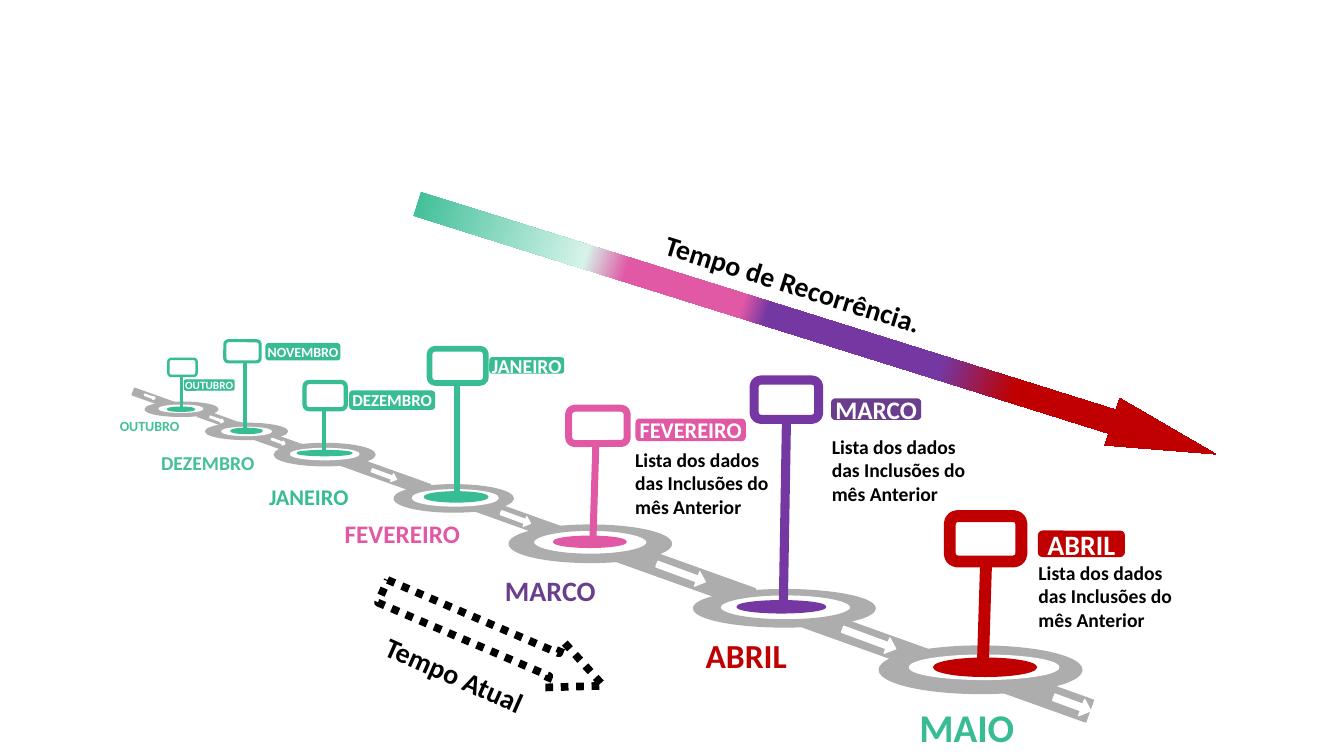
"""Build a recurrence-time roadmap slide with month stations along a road."""
from lxml import etree
from pptx import Presentation
from pptx.dml.color import RGBColor
from pptx.enum.dml import MSO_LINE
from pptx.enum.shapes import MSO_CONNECTOR, MSO_SHAPE
from pptx.enum.text import MSO_ANCHOR, MSO_AUTO_SIZE, PP_ALIGN
from pptx.oxml.ns import qn
from pptx.util import Cm, Pt

RECT, OVAL = MSO_SHAPE.RECTANGLE, MSO_SHAPE.OVAL
ROUNDED, ARROW = MSO_SHAPE.ROUNDED_RECTANGLE, MSO_SHAPE.RIGHT_ARROW
FONT = "Calibri"
CM_PER_INCH = 2.54
ROAD_ANGLE, ROAD_ARROW_ANGLE = 19.7, 20.2
ROAD_ARROW_ADJ = (0.39, 0.564)
COLORS = {
    "road": "ADADAD", "white": "FFFFFF", "black": "000000", "green": "38BC94",
    "mint": "43C09A", "pale": "D6F3EA", "pink": "E158A5", "purple": "7538A3",
    "plum": "6A3E8D", "red": "C00000",
}

ROADS = [
    ((1.31, 3.92, 0.42, 0.07), (1.43, 3.92, 0.11, 0.03)),
    ((1.95, 4.17, 0.69, 0.08), (2.08, 4.14, 0.14, 0.04)),
    ((2.33, 4.31, 0.74, 0.11), (2.69, 4.36, 0.14, 0.04)),
    ((3.19, 4.62, 1.09, 0.12), (3.68, 4.67, 0.26, 0.08)),
    ((4.43, 5.03, 1.15, 0.14), (4.96, 5.09, 0.31, 0.1)),
    ((6.1, 5.6, 1.4, 0.21), (6.5, 5.61, 0.51, 0.15)),
    ((7.96, 6.23, 1.26, 0.21), (8.34, 6.26, 0.56, 0.16)),
    ((9.71, 6.75, 1.13, 0.23), (10.44, 6.9, 0.39, 0.17)),
]
STATIONS = [
    dict(color="green", rim="white", outer=(1.44, 3.99, 0.72, 0.14),
         inner=(1.58, 4.02, 0.43, 0.07), core=(1.66, 4.04, 0.27, 0.04),
         pole=(1.8, 3.74, 1.8, 4.06), frame=(1.67, 3.56, 0.28, 0.17), weight=1.75,
         tag=("OUTUBRO", 8, "green", (1.83, 3.77, 0.49, 0.1))),
    dict(color="green", rim="white", outer=(2.04, 4.2, 0.81, 0.16),
         inner=(2.2, 4.24, 0.49, 0.08), core=(2.29, 4.25, 0.31, 0.05),
         pole=(2.43, 3.58, 2.43, 4.25), frame=(2.23, 3.38, 0.35, 0.21), weight=2.25,
         tag=("NOVEMBRO", 10, "green", (2.64, 3.41, 0.73, 0.16))),
    dict(color="green", rim="white", outer=(2.72, 4.4, 1, 0.22),
         inner=(2.88, 4.45, 0.68, 0.11), core=(2.95, 4.47, 0.54, 0.05),
         pole=(3.21, 4.05, 3.21, 4.48), frame=(3.02, 3.79, 0.41, 0.27), weight=3,
         tag=("DEZEMBRO", 12, "green", (3.47, 3.88, 0.84, 0.18))),
    dict(color="green", rim="white", outer=(3.91, 4.81, 1.18, 0.27),
         inner=(4.09, 4.86, 0.85, 0.16), core=(4.21, 4.88, 0.63, 0.1),
         pole=(4.53, 3.81, 4.53, 4.91), frame=(4.26, 3.46, 0.56, 0.34), weight=4,
         tag=("JANEIRO", 14, "green", (4.86, 3.55, 0.73, 0.15))),
    dict(color="pink", rim="road", outer=(5.05, 5.21, 1.61, 0.37),
         inner=(5.29, 5.26, 1.13, 0.24), core=(5.49, 5.32, 0.72, 0.11),
         pole=(5.91, 4.4, 5.88, 5.39), frame=(5.64, 4.05, 0.58, 0.35), weight=5,
         tag=("FEVEREIRO", 16, "pink", (6.31, 4.16, 1.08, 0.21))),
    dict(color="purple", rim="road", outer=(6.88, 5.85, 1.8, 0.37),
         inner=(7.14, 5.9, 1.3, 0.25), core=(7.31, 5.96, 0.88, 0.12),
         pole=(7.8, 4.18, 7.77, 5.96), frame=(7.48, 3.77, 0.64, 0.39), weight=6.5,
         tag=("MARCO", 18, "plum", (8.25, 3.96, 0.88, 0.2))),
    dict(color="red", rim="white", outer=(8.72, 6.41, 2.01, 0.47),
         inner=(9.02, 6.5, 1.48, 0.24), core=(9.26, 6.53, 1.02, 0.18),
         pole=(9.78, 5.58, 9.75, 6.54), frame=(9.42, 5.12, 0.71, 0.45), weight=8.5,
         tag=("ABRIL", 20, "red", (10.3, 5.27, 0.85, 0.25))),
]
MONTHS = [
    ("OUTUBRO", 10, "mint", (1.09, 4.09, 0.8, 0.27)),
    ("DEZEMBRO", 14, "mint", (1.5, 4.42, 1.14, 0.34)),
    ("JANEIRO", 16, "green", (2.57, 4.74, 1, 0.37)),
    ("FEVEREIRO", 18, "pink", (3.32, 5.09, 1.35, 0.4)),
    ("MARCO", 20, "plum", (4.91, 5.64, 1.11, 0.44)),
    ("ABRIL", 24, "red", (6.9, 6.25, 1.02, 0.5)),
    ("MAIO", 28, "green", (9.02, 6.93, 1.15, 0.57)),
]
NOTE = "Lista dos dados das Inclusões do mês Anterior"
NOTE_BOXES = [(6.3, 4.44, 1.36, 0.68), (8.25, 4.31, 1.33, 0.71), (10.3, 5.56, 1.37, 0.71)]
TIME_STOPS = [(0, "green"), (22, "pale"), (27, "pink"), (41, "pink"),
              (44, "purple"), (65, "purple"), (74, "red"), (100, "red")]


def lengths(inches):
    return [Cm(v * CM_PER_INCH) for v in inches]


def rgb(color):
    return RGBColor.from_string(COLORS[color])


def add_shape(kind, box, fill=None, line=None, weight=1, angle=0, adj=()):
    sp = shapes.add_shape(kind, *lengths(box))
    sp.shadow.inherit = False
    sp.rotation = angle
    for i, value in enumerate(adj):
        sp.adjustments[i] = value
    if fill:
        sp.fill.solid()
        sp.fill.fore_color.rgb = rgb(fill)
    else:
        sp.fill.background()
    if line or fill:
        sp.line.color.rgb = rgb(line or fill)
        sp.line.width = Pt(weight)
    else:
        sp.line.fill.background()
    return sp


def write(tf, text, size, color):
    tf.text = text
    font = tf.paragraphs[0].runs[0].font
    font.name, font.size, font.bold = FONT, Pt(size), True
    font.color.rgb = rgb(color)


def add_text(text, size, color, box, angle=0, wrap=False):
    sp = shapes.add_textbox(*lengths(box))
    sp.rotation = angle
    tf = sp.text_frame
    tf.word_wrap = wrap
    tf.auto_size = MSO_AUTO_SIZE.SHAPE_TO_FIT_TEXT
    if wrap:
        tf.margin_left = tf.margin_right = tf.margin_top = tf.margin_bottom = 0
    write(tf, text, size, color)


def add_tag(text, size, color, box):
    tf = add_shape(ROUNDED, box, color).text_frame
    tf.margin_left = tf.margin_right = 0
    tf.word_wrap = False
    tf.vertical_anchor = MSO_ANCHOR.MIDDLE
    write(tf, text, size, "white")
    tf.paragraphs[0].alignment = PP_ALIGN.CENTER


def add_pole(ends, color, weight):
    pole = shapes.add_connector(MSO_CONNECTOR.STRAIGHT, *lengths(ends))
    pole.line.color.rgb = rgb(color)
    pole.line.width = Pt(weight)
    etree.SubElement(pole._element.spPr, qn("a:effectLst"))


def set_gradient(sp, stops):
    sp.fill.gradient()
    sp.fill.gradient_angle = 0
    gs_list = sp._element.spPr.find(".//" + qn("a:gsLst"))
    for gs in list(gs_list):
        gs_list.remove(gs)
    for percent, color in stops:
        gs = etree.SubElement(gs_list, qn("a:gs"), pos=str(percent * 1000))
        etree.SubElement(gs, qn("a:srgbClr"), val=COLORS[color])


prs = Presentation()
prs.slide_width, prs.slide_height = lengths((13.33, 7.5))
shapes = prs.slides.add_slide(prs.slide_layouts[6]).shapes

for s in STATIONS:
    add_shape(OVAL, s["outer"], "road")
for road, _ in ROADS:
    add_shape(RECT, road, "road", angle=ROAD_ANGLE)
for s in STATIONS:
    add_shape(OVAL, s["inner"], "white", s["rim"])
    add_shape(OVAL, s["core"], s["color"])
for s in STATIONS:
    add_pole(s["pole"], s["color"], s["weight"])
    add_shape(ROUNDED, s["frame"], line=s["color"], weight=s["weight"])
    add_tag(*s["tag"])
for _, arrow in ROADS:
    add_shape(ARROW, arrow, "white", angle=ROAD_ARROW_ANGLE, adj=ROAD_ARROW_ADJ)
for month in MONTHS:
    add_text(*month)
for box in NOTE_BOXES:
    add_text(NOTE, 14, "black", box, wrap=True)

current = add_shape(ARROW, (3.7, 6.09, 2.38, 0.49), line="black", weight=5.5,
                    angle=23.2, adj=(0.5, 1.081))
current.line.dash_style = MSO_LINE.ROUND_DOT
add_text("Tempo Atual", 20, "black", (3.68, 6.48, 1.67, 0.44), angle=23.9)
recurrence = add_shape(ARROW, (3.95, 3.02, 8.3, 0.49), angle=17.4, adj=(0.5, 2.199))
set_gradient(recurrence, TIME_STOPS)
add_text("Tempo de Recorrência.", 20, "black", (6.45, 2.6, 2.86, 0.44), angle=17.4)

prs.save("out.pptx")
